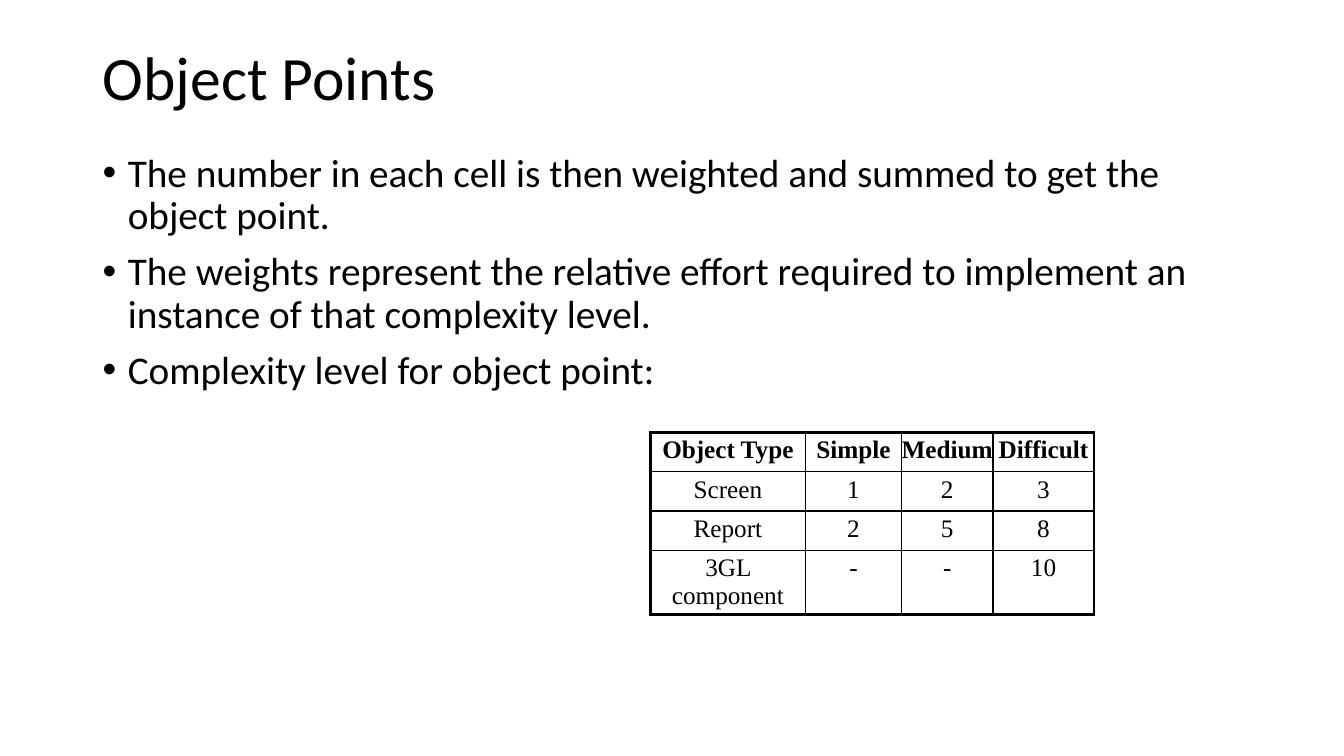
from lxml import etree
from pptx import Presentation
from pptx.dml.color import RGBColor
from pptx.enum.text import MSO_ANCHOR, PP_ALIGN
from pptx.oxml.ns import qn
from pptx.util import Inches, Pt

MIDDLE, TOP = MSO_ANCHOR.MIDDLE, MSO_ANCHOR.TOP
CENTER = PP_ALIGN.CENTER
BLACK = RGBColor(0, 0, 0)

# Content
TITLE = "Object Points"
POINTS = [
    "The number in each cell is then weighted and summed to get the object point.",
    "The weights represent the relative effort required to implement an instance of that complexity level.",
    "Complexity level for object point:",
]
WEIGHTS = [
    ("Object Type", "Simple", "Medium", "Difficult"),
    ("Screen", "1", "2", "3"),
    ("Report", "2", "5", "8"),
    ("3GL component", "-", "-", "10"),
]

# Layout in inches
WIDE, HIGH = 13.33, 7.5
LEFT, SPAN = 0.92, 11.5
COLS = (1.54, 0.95, 0.91, 1)
ROW = 0.39
THIN, THICK = 1, 2.25


def style(para, face, size, bold=False):
    for run in para.runs:
        font = run.font
        font.name, font.size, font.bold = face, Pt(size), bold
        font.color.rgb = BLACK


def add_text(slide, top, height, anchor, lines, size):
    box = slide.shapes.add_textbox(Inches(LEFT), Inches(top), Inches(SPAN), Inches(height))
    frame = box.text_frame
    frame.word_wrap = True
    frame.vertical_anchor = anchor
    frame.text = "\n".join(lines)
    for para in frame.paragraphs:
        para.line_spacing = 0.9
        style(para, "Calibri", size)
    return frame.paragraphs


def add_bullet(para):
    props = para._p.get_or_add_pPr()
    props.set("marL", str(Inches(0.25)))
    props.set("indent", str(-Inches(0.25)))
    etree.SubElement(props, qn("a:buFont"), typeface="Arial")
    etree.SubElement(props, qn("a:buChar"), char="•")


def add_edge(cell, side, width):
    line = etree.SubElement(cell._tc.get_or_add_tcPr(), qn("a:ln" + side), w=str(Pt(width)))
    fill = etree.SubElement(line, qn("a:solidFill"))
    etree.SubElement(fill, qn("a:srgbClr"), val=str(BLACK))


def add_grid(slide):
    last_row, last_col = len(WEIGHTS) - 1, len(COLS) - 1
    frame = slide.shapes.add_table(len(WEIGHTS), len(COLS), Inches(6.45), Inches(4.29),
                                   Inches(sum(COLS)), Inches(ROW * len(WEIGHTS)))
    table = frame.table
    table.horz_banding = False
    for col, width in zip(table.columns, COLS):
        col.width = Inches(width)
    for r, row in enumerate(WEIGHTS):
        table.rows[r].height = Inches(ROW)
        for c, text in enumerate(row):
            cell = table.cell(r, c)
            cell.text = text
            cell.margin_left = cell.margin_right = cell.margin_bottom = 0
            cell.margin_top = Inches(0.04)
            para = cell.text_frame.paragraphs[0]
            para.alignment = CENTER
            style(para, "Times New Roman", 18, r == 0)
            # Heavy outer frame, thin inner rules
            outer = {"L": c == 0, "R": c == last_col, "T": r == 0, "B": r == last_row}
            for side, heavy in outer.items():
                add_edge(cell, side, THICK if heavy else THIN)
            cell.fill.background()


def main():
    deck = Presentation()
    deck.slide_width, deck.slide_height = Inches(WIDE), Inches(HIGH)
    slide = deck.slides.add_slide(deck.slide_layouts[6])

    # Title and bullets
    add_text(slide, 0.4, 0.8, MIDDLE, [TITLE], 44)
    for i, para in enumerate(add_text(slide, 1.47, 5.28, TOP, POINTS, 28)):
        if i:
            para.space_before = Pt(10)
        add_bullet(para)

    # Weight table
    add_grid(slide)
    deck.save("out.pptx")


if __name__ == "__main__":
    main()
